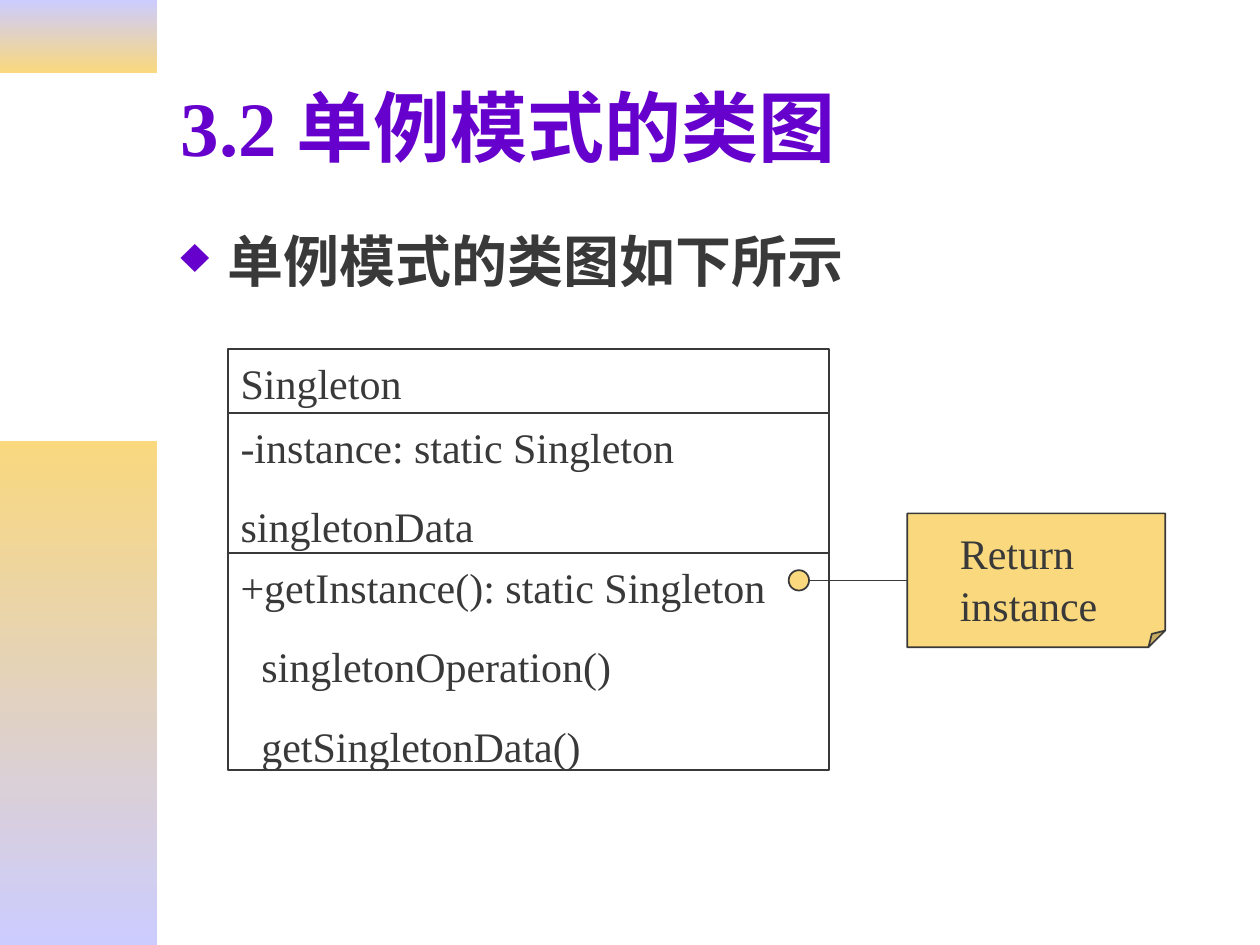
from lxml.etree import SubElement
from pptx import Presentation
from pptx.dml.color import RGBColor
from pptx.enum.shapes import MSO_CONNECTOR, MSO_SHAPE
from pptx.enum.text import MSO_ANCHOR, PP_ALIGN
from pptx.oxml.ns import qn
from pptx.util import Cm, Pt

FONT = "Times New Roman"
INK, PURPLE, GOLD, LILAC = "393939", "6600CC", "F9D87E", "CCCCFF"
LINE_HEIGHT, PARAGRAPH_GAP, PADDING = 1.02, 0.53, 0.13


def rgb(color):
    return RGBColor.from_string(color)


def add_box(slide, kind, left, top, width, height, fill=None):
    box = slide.shapes.add_shape(kind, Cm(left), Cm(top), Cm(width), Cm(height))
    box.shadow.inherit = False
    if fill:
        box.fill.solid()
        box.fill.fore_color.rgb = rgb(fill)
    else:
        box.fill.background()
    box.line.color.rgb = rgb(INK)
    box.line.width = Pt(1)
    return box


def add_text_box(slide, left, top, width, height):
    return slide.shapes.add_textbox(Cm(left), Cm(top), Cm(width), Cm(height)).text_frame


def write(frame, lines, size, color=INK, bold=False, spacing=1.0):
    """Fill the frame, one paragraph to a line, and return the paragraphs."""
    frame.word_wrap = True
    for number, line in enumerate(lines):
        paragraph = frame.add_paragraph() if number else frame.paragraphs[0]
        paragraph.alignment = PP_ALIGN.LEFT
        paragraph.line_spacing = spacing
        if number:
            paragraph.space_before = Pt(15)
        run = paragraph.add_run()
        run.text = line
        run.font.name = FONT
        run.font.size = Pt(size)
        run.font.bold = bold
        run.font.color.rgb = rgb(color)
    return frame.paragraphs


def set_indent(paragraph, margin, first_line=0):
    properties = paragraph._p.get_or_add_pPr()
    properties.set("marL", str(Cm(margin)))
    properties.set("indent", str(Cm(first_line)))
    return properties


def add_side_band(slide, left, top, width, height, upper, lower):
    band = add_box(slide, MSO_SHAPE.RECTANGLE, left, top, width, height)
    band.line.fill.background()
    band.fill.gradient()
    band.fill.gradient_angle = 270
    for stop, color, position in zip(band.fill.gradient_stops, (upper, lower), (0, 1)):
        stop.color.rgb = rgb(color)
        stop.position = position


def add_title(slide, left, top, width, height):
    frame = add_text_box(slide, left, top, width, height)
    frame.vertical_anchor = MSO_ANCHOR.MIDDLE
    write(frame, ["3.2 单例模式的类图"], 44, PURPLE, bold=True)


def add_statement(slide, left, top, width, height):
    frame = add_text_box(slide, left, top, width, height)
    statement = write(frame, ["单例模式的类图如下所示"], 32, bold=True)[0]
    properties = set_indent(statement, 0.95, -0.95)
    color = SubElement(properties, qn("a:buClr"))
    SubElement(color, qn("a:srgbClr"), val=PURPLE)
    SubElement(properties, qn("a:buSzPct"), val="90000")
    SubElement(properties, qn("a:buChar"), char="♦")


def add_class_diagram(slide, left, top, width):
    """Stack the name, attribute and operation compartments."""
    compartments = [
        ["Singleton"],
        ["-instance: static Singleton", "singletonData"],
        ["+getInstance(): static Singleton", "singletonOperation()", "getSingletonData()"],
    ]
    for members in compartments:
        count = len(members)
        height = 2 * PADDING + count * LINE_HEIGHT + (count - 1) * PARAGRAPH_GAP
        compartment = add_box(slide, MSO_SHAPE.RECTANGLE, left, top, width, height)
        frame = compartment.text_frame
        frame.vertical_anchor = MSO_ANCHOR.TOP
        paragraphs = write(frame, members, 24, spacing=1.05)
        top += height
    for operation in paragraphs[1:]:
        set_indent(operation, 0.42)


def add_note(slide, left, top, width, height, dot_left):
    """Place the folded note and the line from it to a dot on the class."""
    note = add_box(slide, MSO_SHAPE.FOLDED_CORNER, left, top, width, height, GOLD)
    fold = note._element.spPr.find(qn("a:prstGeom")).find(qn("a:avLst"))
    SubElement(fold, qn("a:gd"), name="adj", fmla="val 12500")
    label = add_text_box(slide, left + 0.81, top + 0.1, 3.5, 2.29)
    write(label, ["Return instance"], 24, spacing=1.05)

    diameter = 0.41
    middle = top + height / 2
    add_box(slide, MSO_SHAPE.OVAL, dot_left, middle - diameter / 2, diameter, diameter, GOLD)
    link = slide.shapes.add_connector(
        MSO_CONNECTOR.STRAIGHT, Cm(dot_left + diameter), Cm(middle), Cm(left), Cm(middle))
    link.end_connect(note, 1)
    link.line.color.rgb = rgb(INK)
    link.line.width = Pt(1)
    SubElement(link._element.spPr, qn("a:effectLst"))


def main():
    presentation = Presentation()
    presentation.slide_width, presentation.slide_height = Cm(25.4), Cm(19.05)
    slide = presentation.slides.add_slide(presentation.slide_layouts[6])
    add_side_band(slide, 0, 0, 3.17, 1.47, LILAC, GOLD)
    add_side_band(slide, 0, 8.89, 3.17, 10.16, GOLD, LILAC)
    add_title(slide, 3.39, 0.85, 21.6, 3.35)
    add_statement(slide, 3.39, 4.45, 21.6, 2.08)
    add_class_diagram(slide, 4.6, 7.04, 12.12)
    add_note(slide, 18.29, 10.35, 5.2, 2.7, dot_left=15.9)
    presentation.save("out.pptx")


if __name__ == "__main__":
    main()
